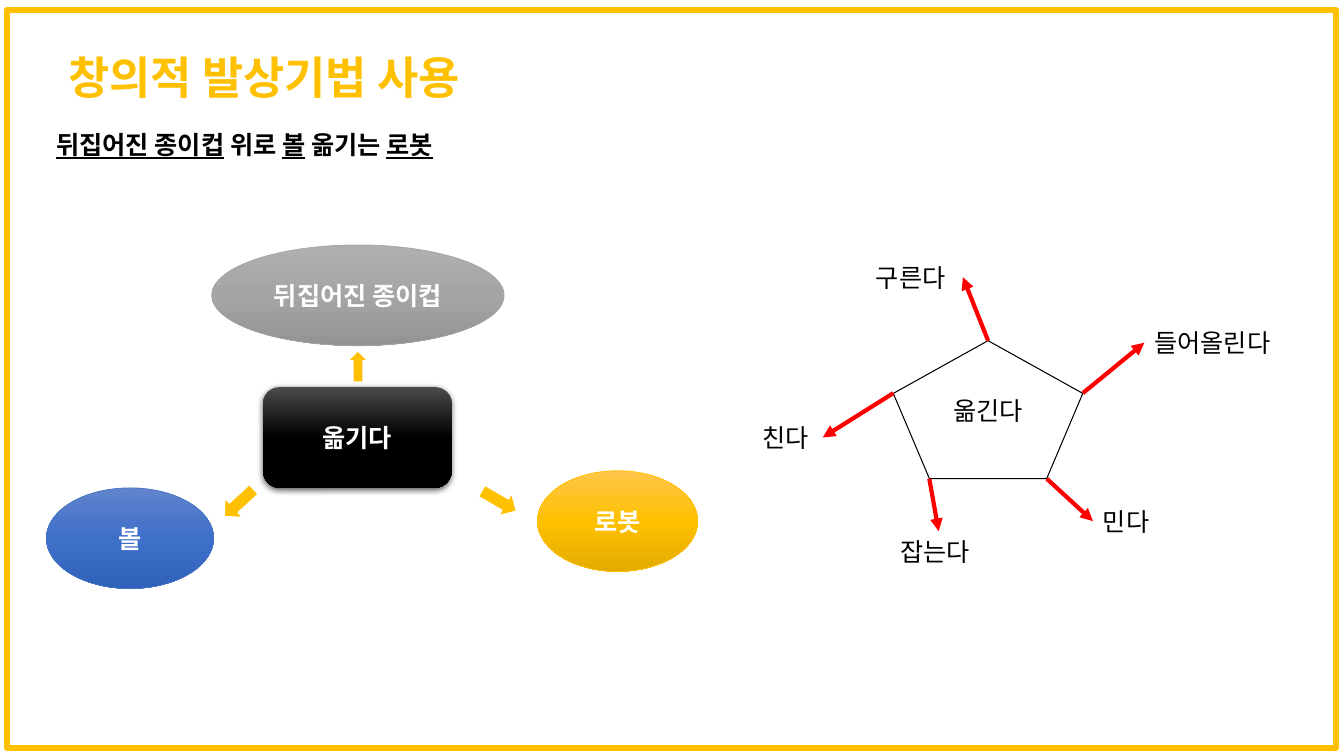
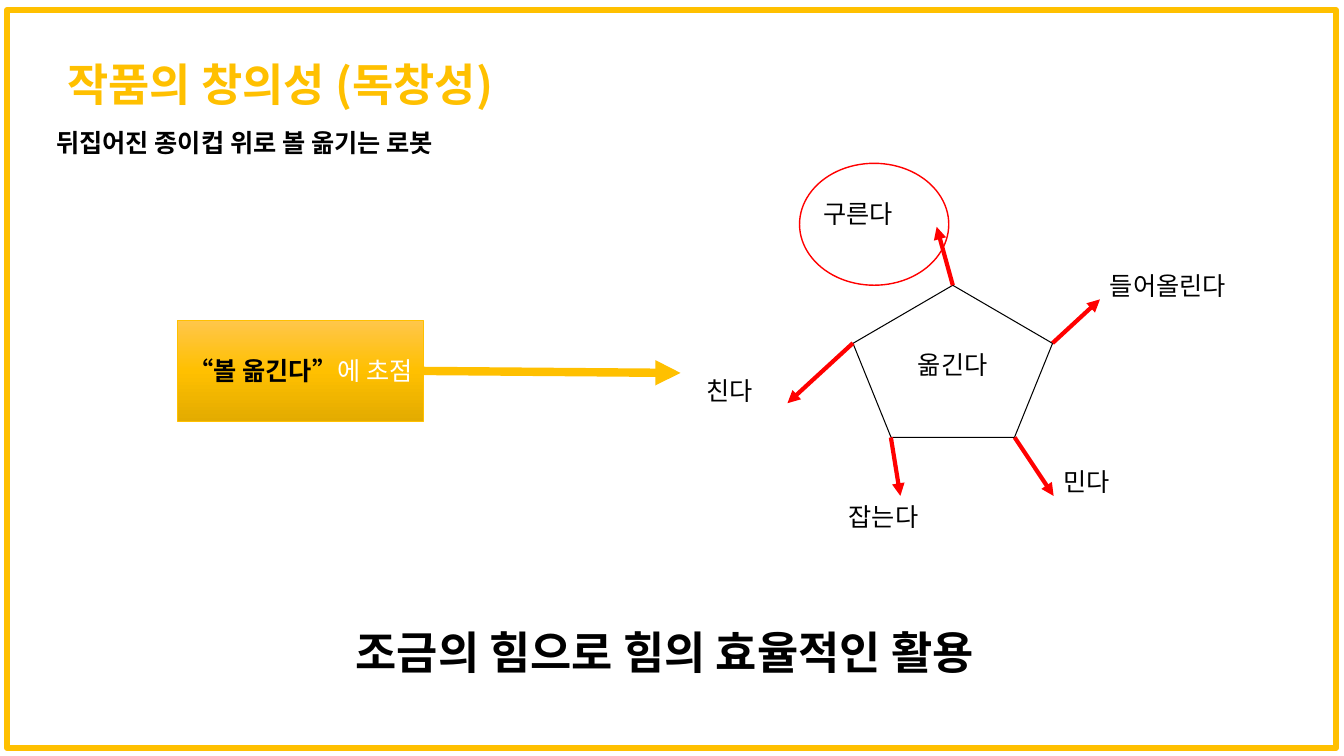
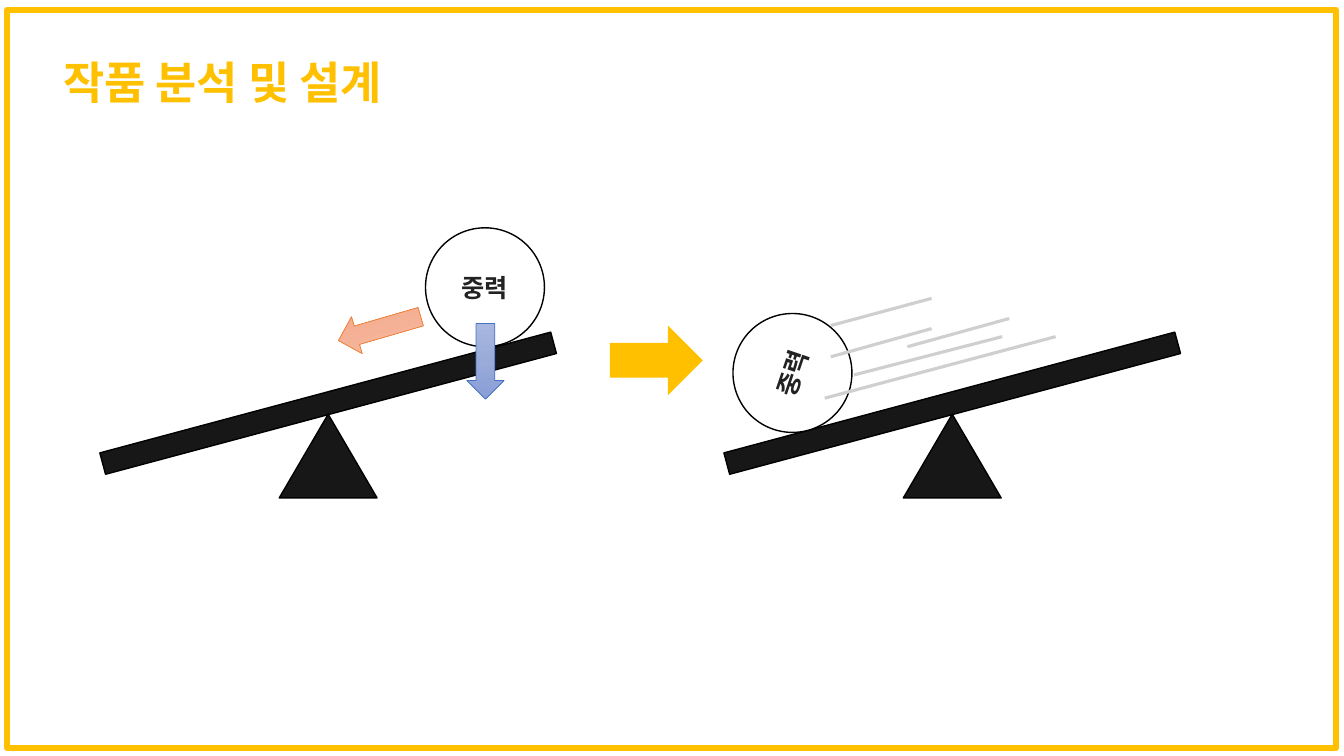
from copy import deepcopy
from dataclasses import dataclass

from lxml.etree import SubElement
from pptx import Presentation
from pptx.dml.color import RGBColor
from pptx.enum.shapes import MSO_CONNECTOR, MSO_SHAPE
from pptx.enum.text import MSO_ANCHOR, MSO_AUTO_SIZE, PP_ALIGN
from pptx.oxml.ns import qn
from pptx.util import Emu, Inches, Pt


@dataclass(frozen=True)
class Theme:
    font: str = "Noto Sans CJK KR"
    ball_font: str = "Arial"
    title_size: int = 32
    body_size: int = 18
    accent: str = "FFC000"
    black: str = "000000"
    white: str = "FFFFFF"
    red: str = "FF0000"
    gray: str = "A5A5A5"
    blue: str = "4472C4"
    orange: str = "ED7D31"
    beam: str = "181717"
    ball_text: str = "222222"
    motion: str = "D0CECE"
    gold_fade: tuple = ("FFC64B", "FFC000", "E3AB00")
    gray_fade: tuple = ("AFAFAF", "A5A5A5", "939393")
    blue_fade: tuple = ("6183CB", "3E70CA", "3062BB")
    black_fade: tuple = ("4B4B4B", "000000", "000000")
    pale_blue_fade: tuple = ("A8B7DF", "9AABD9", "889ED7")
    pale_orange_fade: tuple = ("F7BDA5", "F5B196", "F8A582")


THEME = Theme()
WIDTH, HEIGHT = Inches(13.33), Inches(7.5)
ROWS = 75
CELL = HEIGHT / ROWS  # columns are as wide as rows are high
PENTAGON_CORNERS = {
    "top": (0.5, 0), "right": (1, 0.38), "lower right": (0.81, 1),
    "lower left": (0.19, 1), "left": (0, 0.38),
}


def cells(*counts):
    return [Emu(round(count * CELL)) for count in counts]


def rgb(color):
    return RGBColor.from_string(color)


def write_text(shape, *pieces, size=THEME.body_size, color=THEME.white, bold=True,
               font=THEME.font, align=PP_ALIGN.CENTER):
    """Put the pieces in one paragraph, a run for each, and return the paragraph."""
    paragraph = shape.text_frame.paragraphs[0]
    paragraph.text = pieces[0]
    for piece in pieces[1:]:
        paragraph.add_run().text = piece
    paragraph.alignment = align
    for run in paragraph.runs:
        run.font.size = Pt(size)
        run.font.bold = bold
        run.font.name = font
        run.font.color.rgb = rgb(color)
        SubElement(run._r.get_or_add_rPr(), qn("a:ea")).set("typeface", font)
    return paragraph


def add_text(slide, box, *pieces, **style):
    text_box = slide.shapes.add_textbox(*cells(*box))
    text_box.text_frame.word_wrap = False
    text_box.text_frame.auto_size = MSO_AUTO_SIZE.SHAPE_TO_FIT_TEXT
    return write_text(text_box, *pieces, **style)


def fade(shape, colors):
    """Fill from top to bottom with three evenly spaced colours."""
    shape.fill.gradient()
    shape.fill.gradient_angle = 270
    stop_list = shape._element.spPr.find(".//" + qn("a:gsLst"))
    stop_list.append(deepcopy(stop_list[0]))
    for index, (stop, color) in enumerate(zip(shape.fill.gradient_stops, colors)):
        stop.position = index / 2
        stop.color.rgb = rgb(color)


def add_figure(slide, kind, box, fill=None, line=None, weight=1.0, rotation=0):
    """Add a preset shape; fill is a colour, three gradient colours or None."""
    shape = slide.shapes.add_shape(kind, *cells(*box))
    shape.shadow.inherit = False
    shape.rotation = rotation
    if fill is None:
        shape.fill.background()
    elif isinstance(fill, tuple):
        fade(shape, fill)
    else:
        shape.fill.solid()
        shape.fill.fore_color.rgb = rgb(fill)
    if line:
        shape.line.color.rgb = rgb(line)
        shape.line.width = Pt(weight)
    else:
        shape.line.fill.background()
    shape.text_frame.vertical_anchor = MSO_ANCHOR.MIDDLE
    return shape


def add_drop_shadow(shape):
    effects = shape._element.spPr.find(qn("a:effectLst"))
    shadow = SubElement(effects, qn("a:outerShdw"), blurRad=str(Pt(4.5)),
                        dist=str(Pt(1.5)), dir="5400000", algn="ctr", rotWithShape="0")
    color = SubElement(shadow, qn("a:srgbClr"), val=THEME.black)
    SubElement(color, qn("a:alpha"), val="63000")


def add_line(slide, start, end, color, weight, arrow=False):
    connector = slide.shapes.add_connector(MSO_CONNECTOR.STRAIGHT, *cells(*start, *end))
    connector.line.color.rgb = rgb(color)
    connector.line.width = Pt(weight)
    if arrow:
        SubElement(connector.line._get_or_add_ln(), qn("a:tailEnd"), type="triangle")
    SubElement(connector._element.spPr, qn("a:effectLst"))


def add_framed_slide(presentation, title, title_box):
    slide = presentation.slides.add_slide(presentation.slide_layouts[6])
    add_figure(slide, MSO_SHAPE.RECTANGLE, (0.7, 1, 131.8, 73.2),
               line=THEME.accent, weight=4.5)
    paragraph = add_text(slide, title_box, title, size=THEME.title_size,
                         color=THEME.accent)
    paragraph.line_spacing = 1.5
    return slide


def add_subtitle(slide, top, *pieces):
    return add_text(slide, (4.6, top, 44.4, 4), *pieces, color=THEME.black,
                    align=PP_ALIGN.LEFT)


def add_verb_pentagon(slide, box, verbs, label_scale=1.0, label_height=4):
    """Draw the pentagon; verbs maps a corner to (word, label corner, arrow tip)."""
    left, top, width, height = box
    pentagon = add_figure(slide, MSO_SHAPE.REGULAR_PENTAGON, box,
                          line=THEME.black, weight=0.75)
    pentagon.text_frame.word_wrap = False
    pentagon.text_frame.margin_bottom = Inches(0.35)
    write_text(pentagon, "옮긴다", color=THEME.black, bold=False)
    for corner, (word, label_corner, tip) in verbs.items():
        across, down = PENTAGON_CORNERS[corner]
        add_line(slide, (left + across * width, top + down * height), tip,
                 THEME.red, 3, arrow=True)
        label_width = (2 + 2.53 * len(word)) * label_scale
        add_text(slide, (*label_corner, label_width, label_height), word,
                 color=THEME.black, bold=False, align=PP_ALIGN.LEFT)


def add_seesaw(slide, left, ball_box, ball_rotation=0):
    add_figure(slide, MSO_SHAPE.RECTANGLE, (left, 38.9, 46.3, 2.2), THEME.beam,
               THEME.black, rotation=345)
    add_figure(slide, MSO_SHAPE.ISOSCELES_TRIANGLE, (left + 18.3, 41.1, 9.7, 8.3),
               THEME.beam, THEME.black)
    ball = add_figure(slide, MSO_SHAPE.OVAL, ball_box, THEME.white, THEME.black,
                      rotation=ball_rotation)
    write_text(ball, "중력", color=THEME.ball_text, font=THEME.ball_font)


def build_idea_slide(presentation):
    slide = add_framed_slide(presentation, "창의적 발상기법 사용", (3.4, 1.8, 45.6, 8))
    subtitle = add_subtitle(slide, 12.3, "뒤집어진 종이컵", " 위로 ", "볼", " 옮기는 ", "로봇")
    for run in subtitle.runs[::2]:
        run.font.underline = True

    for word, box, colors, line in (
        ("뒤집어진 종이컵", (21, 24.3, 29, 10), THEME.gray_fade, THEME.gray),
        ("볼", (4.6, 48.4, 16.6, 10), THEME.blue_fade, THEME.blue),
        ("로봇", (53.3, 46.7, 15.9, 10), THEME.gold_fade, THEME.accent),
    ):
        write_text(add_figure(slide, MSO_SHAPE.OVAL, box, colors, line, 0.5), word)
    center = add_figure(slide, MSO_SHAPE.ROUNDED_RECTANGLE, (26.1, 38.4, 18.7, 10),
                        THEME.black_fade)
    add_drop_shadow(center)
    write_text(center, "옮기다")
    for box, rotation in (
        ((22.4, 47.9, 2.6, 4), 47.5),
        ((34.5, 34.8, 2, 3.1), 180),
        ((48.2, 47.7, 2.6, 4), 300),
    ):
        add_figure(slide, MSO_SHAPE.DOWN_ARROW, box, THEME.accent, THEME.white,
                   rotation=rotation)

    add_verb_pentagon(slide, (88.6, 33.8, 18.8, 13.7), {
        "lower left": ("잡는다", (88.3, 52.7), (93.1, 52.7)),
        "right": ("들어올린다", (113.5, 32), (113.5, 34)),
        "top": ("구른다", (85.9, 25.5), (95.5, 27.5)),
        "left": ("친다", (74.6, 41.4), (81.6, 43.4)),
        "lower right": ("민다", (108.4, 49.7), (108.4, 51.7)),
    })


def build_originality_slide(presentation):
    slide = add_framed_slide(presentation, "작품의 창의성 (독창성)", (3.4, 2.5, 48.8, 8))
    add_text(slide, (29.6, 61.5, 72.7, 6.4), "조금의 힘으로 힘의 효율적인 활용",
             size=THEME.title_size, color=THEME.black)
    add_subtitle(slide, 12.1, "뒤집어진 종이컵 위로 볼 옮기는 로봇")

    focus = add_figure(slide, MSO_SHAPE.RECTANGLE, (17.6, 31.8, 24.4, 10),
                       THEME.gold_fade, THEME.accent, 0.5)
    ending = write_text(focus, "“볼 옮긴다”", "에 초점", color=THEME.black).runs[1]
    ending.font.bold = False
    ending.font.color.rgb = rgb(THEME.white)
    add_line(slide, (41.9, 36.8), (67.5, 37), THEME.accent, 6, arrow=True)

    add_verb_pentagon(slide, (84.6, 28.3, 19.8, 15.1), {
        "lower left": ("잡는다", (83.2, 49.2), (89.3, 49.2)),
        "right": ("들어올린다", (109.1, 26.3), (109.1, 29.7)),
        "top": ("구른다", (80.7, 19.2), (92.9, 22.5)),
        "left": ("친다", (69.1, 36.7), (78.1, 40)),
        "lower right": ("민다", (104.5, 45.8), (104.5, 49.2)),
    }, label_scale=1.28, label_height=6.6)
    add_figure(slide, MSO_SHAPE.OVAL, (79.3, 16.2, 14.8, 12.1), line=THEME.red)


def build_analysis_slide(presentation):
    slide = add_framed_slide(presentation, "작품 분석 및 설계", (3, 2.3, 38.2, 8))
    add_seesaw(slide, 9.4, (42.2, 22.6, 11.8, 11.8))
    add_figure(slide, MSO_SHAPE.DOWN_ARROW, (46.3, 32.1, 3.7, 7.5),
               THEME.pale_blue_fade, THEME.blue, 0.5)
    add_figure(slide, MSO_SHAPE.RIGHT_ARROW, (33.4, 30.7, 8.5, 3.8),
               THEME.pale_orange_fade, THEME.orange, 0.5, rotation=163.8)
    add_seesaw(slide, 71.3, (72.7, 31.1, 11.8, 11.8), ball_rotation=288.7)
    add_figure(slide, MSO_SHAPE.RIGHT_ARROW, (60.5, 32.3, 9.2, 6.9), THEME.accent)
    for start, end in (
        ((82.4, 32.3), (92.4, 29.6)),
        ((82.4, 35.4), (92.4, 32.6)),
        ((84.7, 37.2), (99.4, 33.4)),
        ((81.8, 39.5), (104.7, 33.4)),
        ((90, 34.4), (100.1, 31.6)),
    ):
        add_line(slide, start, end, THEME.motion, 2.25)


def main():
    presentation = Presentation()
    presentation.slide_width, presentation.slide_height = WIDTH, HEIGHT
    build_idea_slide(presentation)
    build_originality_slide(presentation)
    build_analysis_slide(presentation)
    presentation.save("out.pptx")


if __name__ == "__main__":
    main()
